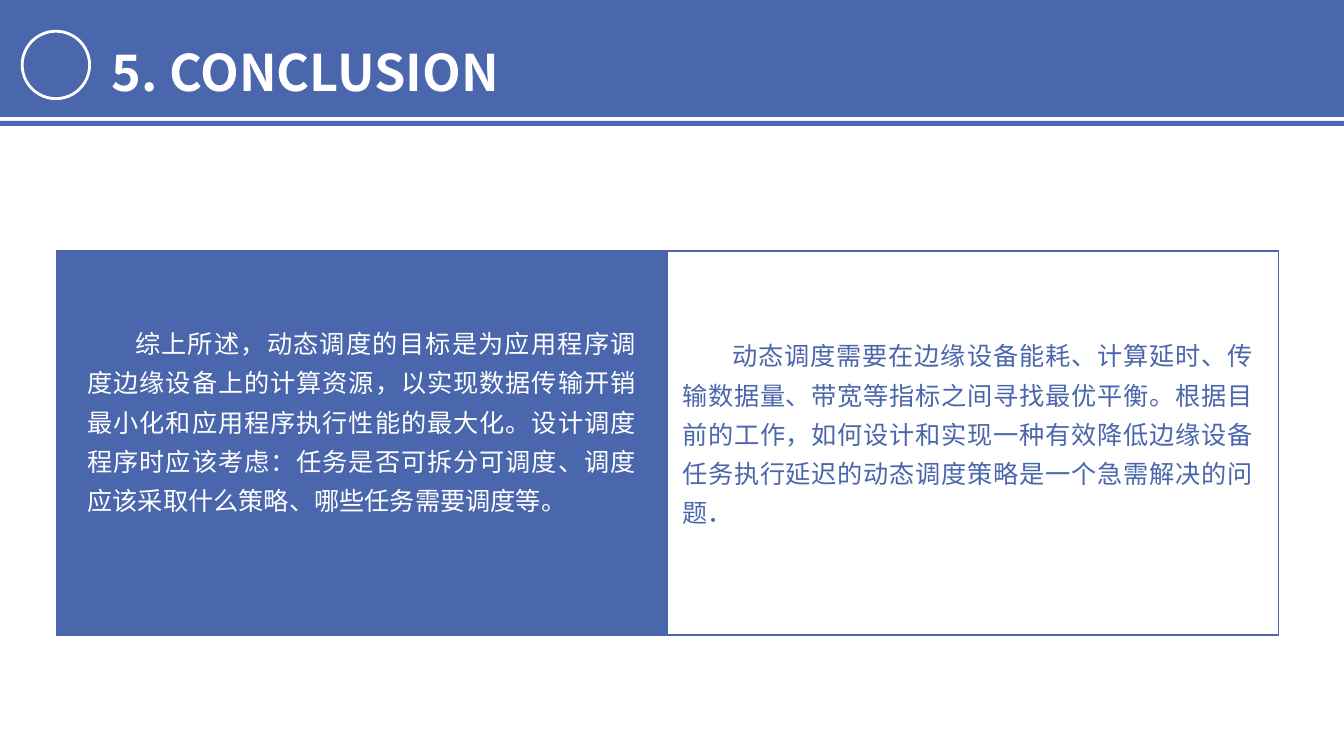
from lxml import etree
from pptx import Presentation
from pptx.dml.color import RGBColor
from pptx.enum import shapes, text
from pptx.oxml.ns import qn
from pptx.util import Pt

W, H = 960, 540
BLUE, WHITE = "4A66AC", "FFFFFF"
CJK = "Noto Sans CJK SC"
SHAPE = shapes.MSO_SHAPE

GOALS = ("综上所述，动态调度的目标是为应用程序调度边缘设备上的计算资源，"
         "以实现数据传输开销最小化和应用程序执行性能的最大化。"
         "设计调度程序时应该考虑：任务是否可拆分可调度、"
         "调度应该采取什么策略、哪些任务需要调度等。")
OUTLOOK = ("动态调度需要在边缘设备能耗、计算延时、传输数据量、带宽等指标之间寻找最优平衡。"
           "根据目前的工作，如何设计和实现一种有效降低边缘设备任务执行延迟的"
           "动态调度策略是一个急需解决的问题．")


def rgb(value):
    return RGBColor.from_string(value)


def add_box(s, kind, x, y, w, h, fill=None, line=None, weight=1):
    sp = s.shapes.add_shape(kind, Pt(x), Pt(y), Pt(w), Pt(h))
    sp.shadow.inherit = False
    if fill:
        sp.fill.solid()
        sp.fill.fore_color.rgb = rgb(fill)
    else:
        sp.fill.background()
    if line:
        sp.line.color.rgb = rgb(line)
        sp.line.width = Pt(weight)
    else:
        sp.line.fill.background()


def add_text(s, x, y, w, h, words, size, color, font, spacing, bold=False):
    tf = s.shapes.add_textbox(Pt(x), Pt(y), Pt(w), Pt(h)).text_frame
    tf.word_wrap = True
    p = tf.paragraphs[0]
    p.line_spacing = spacing
    r = p.add_run()
    r.text = words
    r.font.size = Pt(size)
    r.font.bold = bold
    r.font.name = font
    r.font.color.rgb = rgb(color)
    # East Asian typeface
    etree.SubElement(r.font._element, qn("a:ea"), typeface=CJK)
    return p


def add_header(s, x, y, w, h, title):
    # Band with a thin rule below it
    add_box(s, SHAPE.RECTANGLE, x, y, w, h, BLUE)
    add_box(s, SHAPE.RECTANGLE, x, y + h + 2.9, w, 3.6, BLUE)
    # Ring and title
    add_box(s, SHAPE.OVAL, x + 15.84, y + 22.3, 48.2, 48.2, BLUE, WHITE, 2)
    add_text(s, x + 72.7, y + 4.3, 553.7, 66.2, title, 36, WHITE, CJK, 1.5, True)


def add_panel(s, x, y, w, h, words, color, fill, inset, drop, text_w, indent):
    add_box(s, SHAPE.RECTANGLE, x, y, w, h, fill, BLUE)
    p = add_text(s, x + inset, y + drop, text_w, 146.9, words, 18, color,
                 "Arial", 1.3)
    p.alignment = text.PP_ALIGN.JUSTIFY
    p._p.get_or_add_pPr().set("indent", str(Pt(indent)))


def main():
    prs = Presentation()
    prs.slide_width, prs.slide_height = Pt(W), Pt(H)
    s = prs.slides.add_slide(prs.slide_layouts[6])

    # Two equal panels side by side
    left, top, panel_w, panel_h = 40.3, 179.2, 436.4, 274.4
    add_panel(s, left, top, panel_w, panel_h, GOALS, WHITE, BLUE,
              15.1, 45.4, 406.1, 34)
    add_panel(s, left + panel_w, top, panel_w, panel_h, OUTLOOK, BLUE, None,
              3.5, 54.1, 421.9, 36)

    add_header(s, 0, 0, W, 83.5, "5. CONCLUSION")
    prs.save("out.pptx")


if __name__ == "__main__":
    main()
